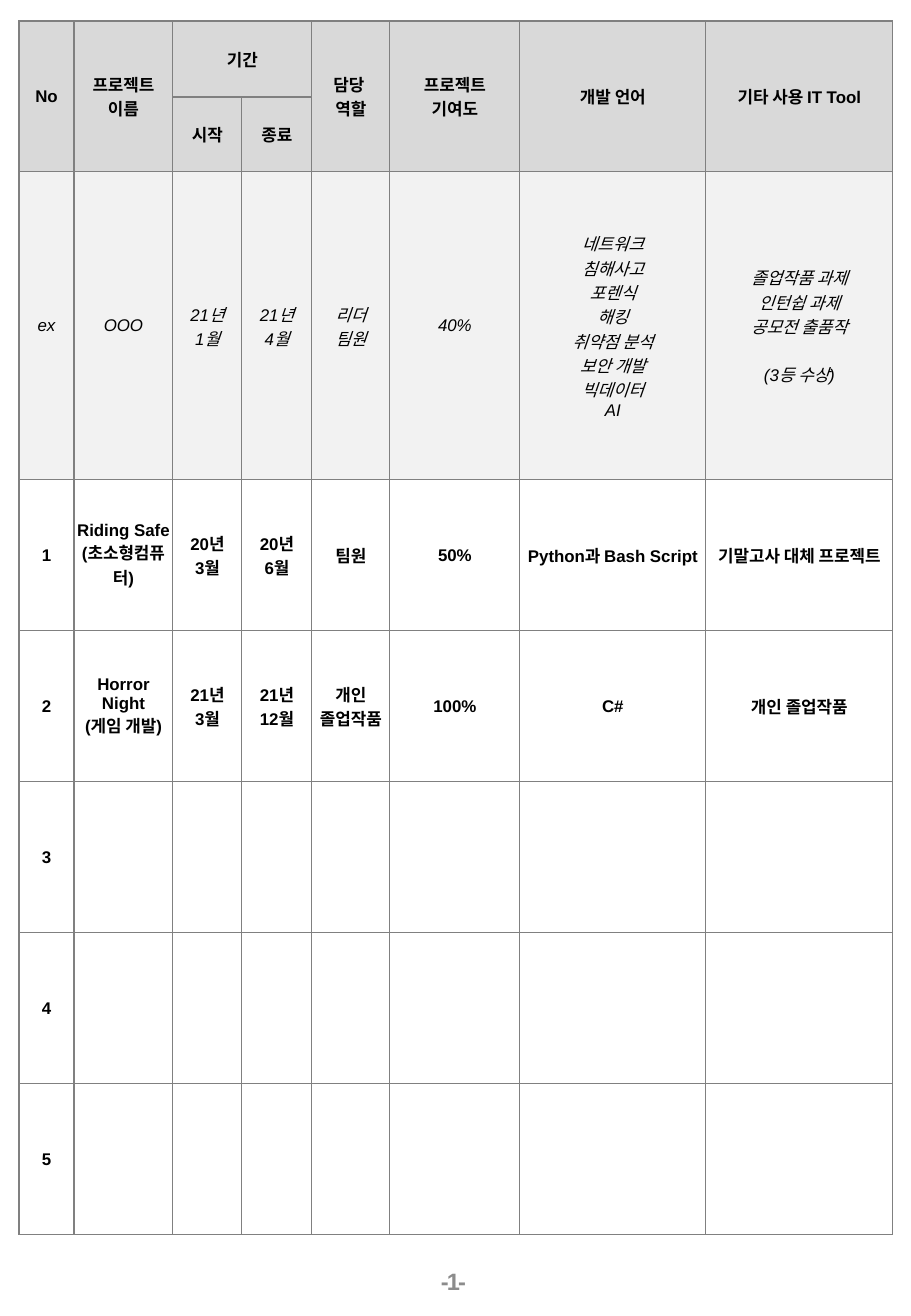
from lxml.etree import SubElement as add_element
from pptx import Presentation
from pptx.dml.color import RGBColor as Rgb
from pptx.enum.text import MSO_ANCHOR as Anchor, PP_ALIGN as Align
from pptx.oxml.ns import qn
from pptx.util import Pt

SCALE = 914400 / 121.5
PAGE = (911, 1316)
FONT = "Arial"
COLORS = {
    "header": "D9D9D9", "example": "F2F2F2", "row": "FFFFFF",
    "border": "808080", "text": "000000", "number": "8C8C8C",
}
COLUMNS = [55, 99, 69, 70, 78, 130, 186, 187]
ROWS = [76, 75, 308] + [151] * 5
PARAGRAPH_GAP = 24

# Line breaks part paragraphs; an empty line becomes space before the next one
CONTENT = [
    ["No", "프로젝트\n이름", "기간", "", "담당 \n역할", "프로젝트\n기여도",
     "개발 언어", "기타 사용 IT Tool"],
    ["", "", "시작", "종료", "", "", "", ""],
    ["ex", "OOO", "21년\n1월", "21년\n4월", "리더\n팀원", "40%",
     "네트워크\n침해사고\n포렌식\n해킹\n취약점 분석\n보안 개발\n빅데이터\nAI",
     "졸업작품 과제\n인턴쉽 과제\n공모전 출품작\n\n(3등 수상)"],
    ["1", "Riding Safe\n(초소형컴퓨터)", "20년\n3월", "20년\n6월", "팀원", "50%",
     "Python과 Bash Script", "기말고사 대체 프로젝트"],
    ["2", "Horror Night\n(게임 개발)", "21년\n3월", "21년\n12월", "개인 졸업작품",
     "100%", "C#", "개인 졸업작품"],
] + [[str(number)] + [""] * 7 for number in (3, 4, 5)]
HEADER_ROWS = 2
EXAMPLE_ROW = 2
PERIOD_COLUMNS = (2, 3)


def px(length):
    return round(length * SCALE)


def add_span(para, text, size, color, bold=True, italic=False):
    para.alignment = Align.CENTER
    span = para.add_run()
    span.text = text
    font = span.font
    font.name, font.size = FONT, Pt(size)
    font.bold, font.italic = bold, italic
    font.color.rgb = Rgb.from_string(COLORS[color])
    return span


def set_borders(cell):
    properties = cell._tc.get_or_add_tcPr()
    for side in ("lnL", "lnR", "lnT", "lnB"):
        line = add_element(properties, qn(f"a:{side}"), w=str(Pt(0.75)))
        fill = add_element(line, qn("a:solidFill"))
        add_element(fill, qn("a:srgbClr"), val=COLORS["border"])


def fill_cell(cell, text, color, example):
    set_borders(cell)
    cell.fill.solid()
    cell.fill.fore_color.rgb = Rgb.from_string(COLORS[color])
    cell.vertical_anchor = Anchor.MIDDLE
    cell.margin_left = cell.margin_right = 0
    cell.margin_top = cell.margin_bottom = 0
    if not text:
        return
    frame = cell.text_frame
    for block_index, block in enumerate(text.split("\n\n")):
        for line_index, line in enumerate(block.split("\n")):
            first = block_index == line_index == 0
            para = frame.paragraphs[0] if first else frame.add_paragraph()
            if block_index and not line_index:
                para.space_before = px(PARAGRAPH_GAP)
            add_span(para, line, 10, "text", bold=not example, italic=example)


def add_project_table(page, left, top):
    frame = page.shapes.add_table(
        len(ROWS), len(COLUMNS), px(left), px(top), px(sum(COLUMNS)), px(sum(ROWS)))
    table = frame.table
    table.first_row = table.horz_banding = False
    for column, width in zip(table.columns, COLUMNS):
        column.width = px(width)
    for row, height in zip(table.rows, ROWS):
        row.height = px(height)

    # Header spans
    for index in range(len(COLUMNS)):
        if index not in PERIOD_COLUMNS:
            table.cell(0, index).merge(table.cell(1, index))
    start, end = PERIOD_COLUMNS
    table.cell(0, start).merge(table.cell(0, end))

    # Cell text and fills
    for row_index, texts in enumerate(CONTENT):
        example = row_index == EXAMPLE_ROW
        color = "header" if row_index < HEADER_ROWS else "example" if example else "row"
        for column_index, text in enumerate(texts):
            fill_cell(table.cell(row_index, column_index), text, color, example)


def add_page_number(page, left, top, width, height):
    box = page.shapes.add_textbox(px(left), px(top), px(width), px(height))
    frame = box.text_frame
    frame.word_wrap = True
    frame.vertical_anchor = Anchor.MIDDLE
    span = add_span(frame.paragraphs[0], "-1-", 14, "number")
    span.font._element.set("spc", "-110")


def main():
    deck = Presentation()
    deck.slide_width, deck.slide_height = map(px, PAGE)
    page = deck.slides.add_slide(deck.slide_layouts[6])
    add_project_table(page, 19, 21)
    add_page_number(page, 0, 1246, 907, 70)
    deck.save("out.pptx")


if __name__ == "__main__":
    main()
